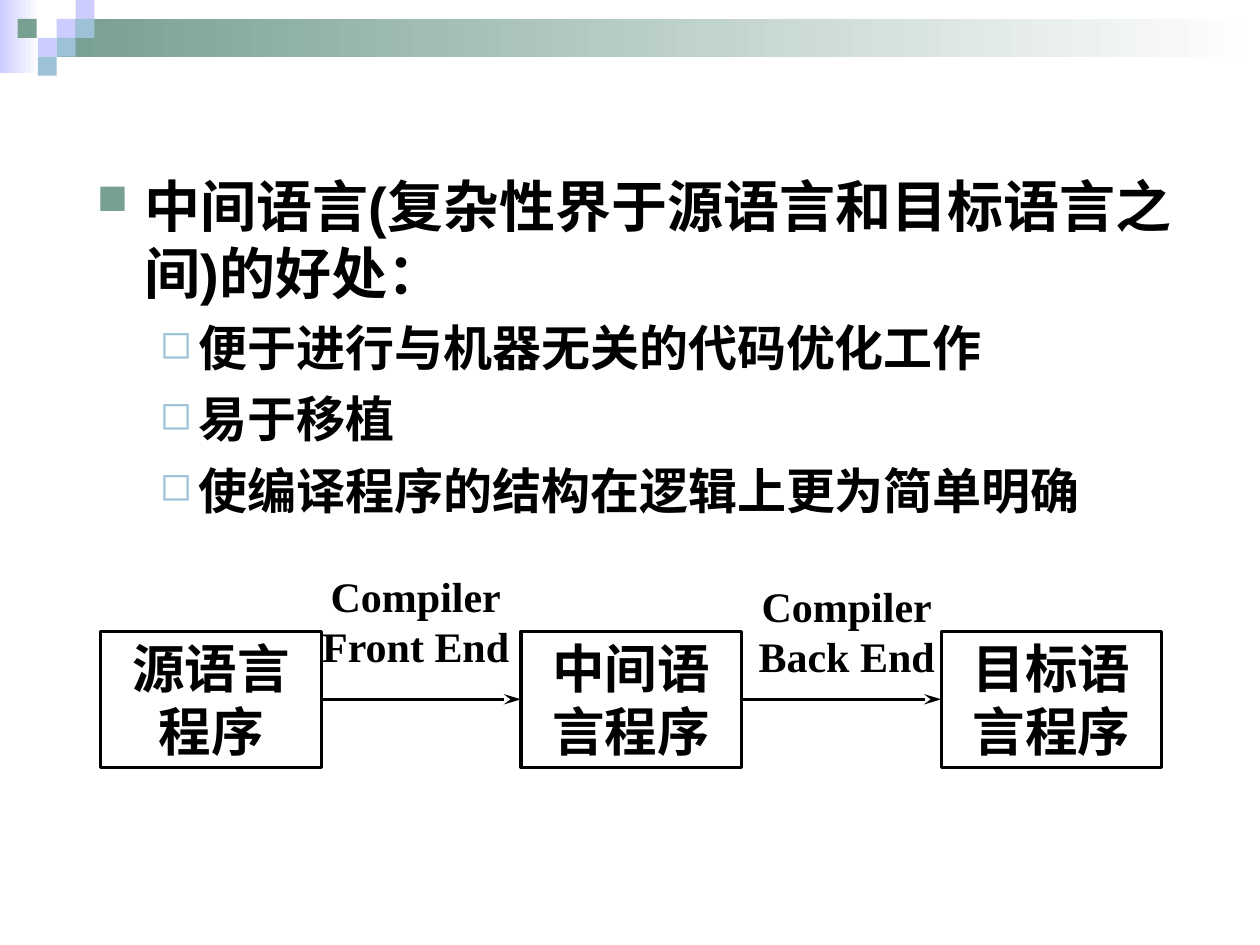
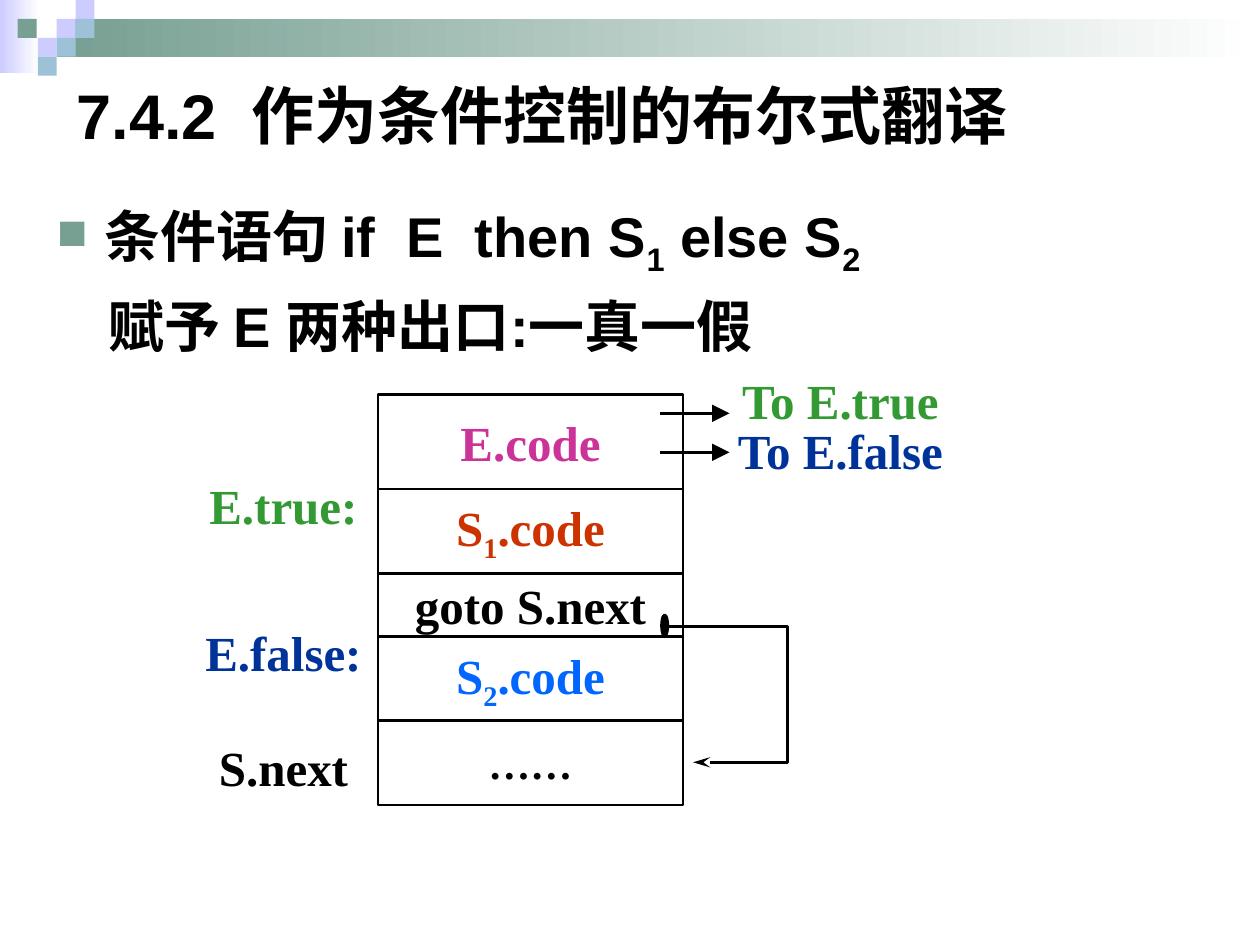
from itertools import pairwise

from lxml.etree import SubElement
from pptx import Presentation
from pptx.dml.color import RGBColor
from pptx.enum.shapes import MSO_CONNECTOR, MSO_SHAPE
from pptx.enum.text import MSO_ANCHOR, PP_ALIGN
from pptx.oxml.ns import qn
from pptx.util import Inches, Pt

BLACK = RGBColor(0x00, 0x00, 0x00)
WHITE = RGBColor(0xFF, 0xFF, 0xFF)
LAVENDER = RGBColor(0xCC, 0xCC, 0xFF)
SAGE = RGBColor(0x77, 0x9F, 0x92)
SKY = RGBColor(0x9D, 0xC2, 0xD7)
MAGENTA = RGBColor(0xCC, 0x33, 0x99)
RED = RGBColor(0xCC, 0x33, 0x00)
BLUE = RGBColor(0x00, 0x66, 0xFF)
GREEN = RGBColor(0x33, 0x99, 0x33)
NAVY = RGBColor(0x00, 0x33, 0x99)

HEADING_FONT = "Arial"
DIAGRAM_FONT = "Times New Roman"
TILE = 0.15
TILES = [
    (0.45, 0.15, LAVENDER),
    (0.6, 0, LAVENDER),
    (0.6, 0.15, SKY),
    (0.3, 0.3, LAVENDER),
    (0.14, 0.15, SAGE),
    (0.45, 0.3, SKY),
    (0.3, 0.45, SKY),
]
BULLETS = {
    "main": dict(left=0.38, hanging=0.38, size=32, before=8, mark=("■", SAGE, 75)),
    "sub": dict(left=0.81, hanging=0.31, size=28, before=7, mark=("◻", SKY, 80)),
    "plain": dict(left=0.41, hanging=0, size=32, before=8, mark=None),
}
ARROWHEAD_WIDTHS = {"stealth": "med", "triangle": "lg"}


def add_box(slide, left, top, width, height, kind=MSO_SHAPE.RECTANGLE):
    shape = slide.shapes.add_shape(
        kind, Inches(left), Inches(top), Inches(width), Inches(height)
    )
    shape.shadow.inherit = False
    shape.fill.background()
    shape.line.fill.background()
    return shape


def add_text_box(slide, left, top, width, height):
    return slide.shapes.add_textbox(
        Inches(left), Inches(top), Inches(width), Inches(height)
    )


def fill_solid(shape, color):
    shape.fill.solid()
    shape.fill.fore_color.rgb = color


def fill_fading(shape, color):
    shape.fill.gradient()
    shape.fill.gradient_angle = 0
    for stop, stop_color in zip(shape.fill.gradient_stops, (color, WHITE)):
        stop.color.rgb = stop_color


def draw_line(shape, width, arrowhead=None):
    shape.line.color.rgb = BLACK
    shape.line.width = Pt(width)
    if arrowhead:
        outline = shape._element.spPr.find(qn("a:ln"))
        head_width = ARROWHEAD_WIDTHS[arrowhead]
        SubElement(outline, qn("a:tailEnd"), type=arrowhead, w=head_width, len="lg")


def add_arrow(slide, start, end, width, arrowhead):
    points = [Inches(value) for value in (*start, *end)]
    arrow = slide.shapes.add_connector(MSO_CONNECTOR.STRAIGHT, *points)
    draw_line(arrow, width, arrowhead)
    SubElement(arrow._element.spPr, qn("a:effectLst"))
    return arrow


def write_paragraph(paragraph, text, font, size, color=BLACK):
    for index, part in enumerate(text.split("|")):
        run = paragraph.add_run()
        run.text = part
        run.font.name = font
        run.font.size = Pt(size)
        run.font.bold = True
        run.font.color.rgb = color
        if index % 2:
            run._r.get_or_add_rPr().set("baseline", "-25000")


def write_centred(shape, lines, size, color=BLACK):
    frame = shape.text_frame
    frame.word_wrap = False
    frame.vertical_anchor = MSO_ANCHOR.MIDDLE
    for index, line in enumerate(lines):
        paragraph = frame.add_paragraph() if index else frame.paragraphs[0]
        paragraph.alignment = PP_ALIGN.CENTER
        write_paragraph(paragraph, line, DIAGRAM_FONT, size, color)


def add_label(slide, left, top, width, height, lines, size, color=BLACK):
    label = add_text_box(slide, left, top, width, height)
    label.text_frame.margin_left = label.text_frame.margin_right = 0
    write_centred(label, lines, size, color)


def add_band(slide):
    fill_fading(add_box(slide, 0, 0, 0.31, 0.58), LAVENDER)
    fill_fading(add_box(slide, 0.45, 0.15, 9.55, 0.3), SAGE)
    for left, top, color in TILES:
        fill_solid(add_box(slide, left, top, TILE, TILE), color)


def add_title(slide, text):
    frame = add_text_box(slide, 0.51, 0.28, 8.67, 1.25).text_frame
    frame.word_wrap = True
    frame.vertical_anchor = MSO_ANCHOR.MIDDLE
    write_paragraph(frame.paragraphs[0], text, HEADING_FONT, 36)


def add_body(slide, left, top, width, height, items):
    frame = add_text_box(slide, left, top, width, height).text_frame
    frame.word_wrap = True
    for index, (level, text) in enumerate(items):
        paragraph = frame.add_paragraph() if index else frame.paragraphs[0]
        style = BULLETS[level]
        if index:
            paragraph.space_before = Pt(style["before"])
        properties = paragraph._p.get_or_add_pPr()
        properties.set("marL", str(Inches(style["left"])))
        properties.set("indent", str(-Inches(style["hanging"])))
        if style["mark"]:
            character, color, percent = style["mark"]
            bullet_color = SubElement(properties, qn("a:buClr"))
            SubElement(bullet_color, qn("a:srgbClr"), val=str(color))
            SubElement(properties, qn("a:buSzPct"), val=str(percent * 1000))
            SubElement(properties, qn("a:buChar"), char=character)
        write_paragraph(paragraph, text, HEADING_FONT, style["size"])


def add_compiler_flow(slide, left, top):
    width, height, pitch = 1.75, 1.08, 3.335
    programs = [("源语言", "程序"), ("中间语", "言程序"), ("目标语", "言程序")]
    boxes = []
    for index, lines in enumerate(programs):
        box = add_box(slide, left + index * pitch, top, width, height)
        draw_line(box, 1.75)
        write_centred(box, lines, 30)
        boxes.append(box)
    for source, target in pairwise(boxes):
        arrow = add_arrow(slide, (0, 0), (0, 0), 1.75, "stealth")
        arrow.begin_connect(source, 3)
        arrow.end_connect(target, 1)
    stages = [(1.7, -0.5, "Front End"), (5.12, -0.42, "Back End")]
    for across, down, stage in stages:
        position = left + across, top + down
        add_label(slide, *position, 1.6, 0.83, ["Compiler", stage], 24)


def add_jump(slide, left, top):
    corners = [(0.95, 0), (0.95, 1.08), (0.2, 1.08)]
    builder = slide.shapes.build_freeform(Inches(left), Inches(top))
    builder.add_line_segments(
        [(Inches(left + x), Inches(top + y)) for x, y in corners], close=False
    )
    jump = builder.convert_to_shape()
    jump.shadow.inherit = False
    jump.fill.background()
    draw_line(jump, 1.5, "stealth")
    dot = add_box(slide, left - 0.05, top - 0.09, 0.05, 0.17, MSO_SHAPE.OVAL)
    fill_solid(dot, BLACK)
    draw_line(dot, 1.5)


def add_code_layout(slide, left, top):
    rows = [
        ("E.code", 0.75, 28, MAGENTA),
        ("S|1|.code", 0.67, 28, RED),
        ("goto S.next", 0.5, 28, BLACK),
        ("S|2|.code", 0.67, 28, BLUE),
        ("……", 0.67, 24, BLACK),
    ]
    row_top = top
    for text, height, size, color in rows:
        row = add_box(slide, left, row_top, 2.42, height)
        draw_line(row, 1.5)
        write_centred(row, [text], size, color)
        row_top += height
    exits, entries = (2.77, 1.8), (-1.5, 1.5)
    labels = [
        ("To E.true", exits, -0.25, GREEN),
        ("To E.false", exits, 0.15, NAVY),
        ("E.true:", entries, 0.59, GREEN),
        ("E.false:", entries, 1.75, NAVY),
        ("S.next", entries, 2.67, BLACK),
    ]
    for text, (across, width), down, color in labels:
        add_label(slide, left + across, top + down, width, 0.58, [text], 28, color)
    for down in (0.15, 0.46):
        start = left + 2.24, top + down
        end = left + 2.79, top + down
        add_arrow(slide, start, end, 1.5, "triangle")
    add_jump(slide, left + 2.3, top + 1.84)


def add_slide(presentation):
    slide = presentation.slides.add_slide(presentation.slide_layouts[6])
    add_band(slide)
    return slide


def build_intermediate_language(presentation):
    slide = add_slide(presentation)
    add_body(slide, 0.67, 1.31, 8.75, 2.83, [
        ("main", "中间语言(复杂性界于源语言和目标语言之间)的好处："),
        ("sub", "便于进行与机器无关的代码优化工作"),
        ("sub", "易于移植"),
        ("sub", "使编译程序的结构在逻辑上更为简单明确"),
    ])
    add_compiler_flow(slide, 0.8, 5.01)


def build_boolean_translation(presentation):
    slide = add_slide(presentation)
    add_title(slide, "7.4.2  作为条件控制的布尔式翻译")
    add_body(slide, 0.35, 1.55, 8.65, 1.42, [
        ("main", "条件语句 if  E  then S|1| else S|2"),
        ("plain", "赋予 E 两种出口:一真一假"),
    ])
    add_code_layout(slide, 3, 3.13)


def main():
    presentation = Presentation()
    presentation.slide_width = Inches(10)
    presentation.slide_height = Inches(7.5)
    build_intermediate_language(presentation)
    build_boolean_translation(presentation)
    presentation.save("out.pptx")


if __name__ == "__main__":
    main()
